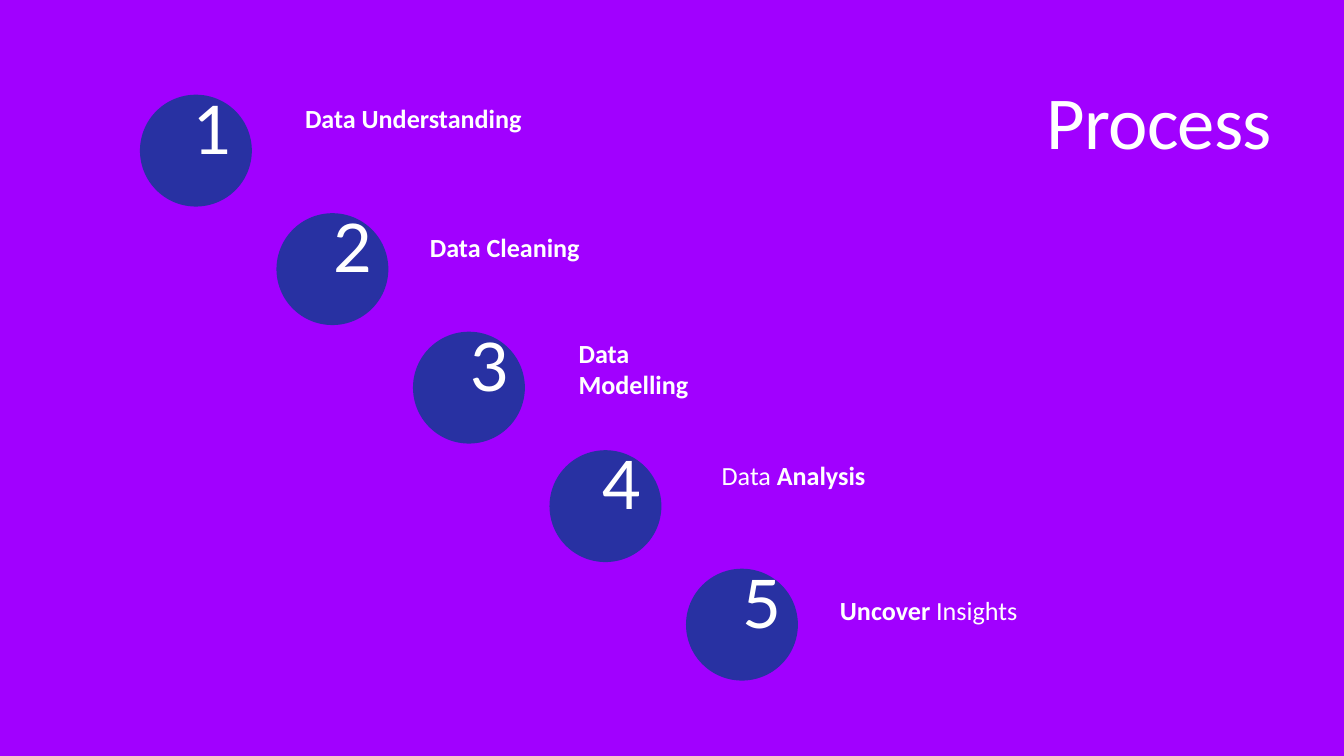
import pptx
import pptx.dml.color
import pptx.enum.shapes
import pptx.enum.text
import pptx.util

Cm = pptx.util.Cm
Pt = pptx.util.Pt
RGBColor = pptx.dml.color.RGBColor
PP_ALIGN = pptx.enum.text.PP_ALIGN

PURPLE = RGBColor(0xA1, 0x00, 0xFF)
NAVY = RGBColor(0x28, 0x31, 0xA2)
WHITE = RGBColor(0xFF, 0xFF, 0xFF)

CIRCLE_LEFT, CIRCLE_TOP, CIRCLE_SIZE = 5.29, 3.58, 4.23
STEP_X, STEP_Y = 5.16, 4.48
NUMBER_TOP = 3.81

# number left, label box (left, top, width, height), label runs (text, bold)
STEPS = [
    (7.32, (11.28, 3.73, 15.27, 1.45), [("Data Understanding", True)]),
    (12.6, (16, 8.64, 6.76, 1.45), [("Data Cleaning", True)]),
    (17.78, (21.62, 12.62, 6.7, 2.64), [("Data Modelling", True)]),
    (22.76, (27.03, 17.25, 7.7, 1.45), [("Data ", False), ("Analysis", True)]),
    (28.07, (31.5, 22.33, 8.94, 1.45), [("Uncover", True), (" Insights", False)]),
]


class ProcessSlide:
    heading_font = "Calibri"
    number_font = "Lato"

    def __init__(self, presentation):
        self.slide = presentation.slides.add_slide(presentation.slide_layouts[5])
        fill = self.slide.background.fill
        fill.solid()
        fill.fore_color.rgb = PURPLE

    def format_frame(self, frame, inset=None):
        frame.word_wrap = True
        frame.auto_size = pptx.enum.text.MSO_AUTO_SIZE.NONE
        frame.vertical_anchor = pptx.enum.text.MSO_ANCHOR.TOP
        if inset is not None:
            frame.margin_left = frame.margin_right = Cm(inset)
            frame.margin_top = frame.margin_bottom = Cm(inset)

    def format_paragraph(self, paragraph, name, size, line=None, tracking=None):
        """Style a paragraph; tracking is in points."""
        if line is not None:
            paragraph.line_spacing = Pt(line)
        paragraph.font.name = name
        paragraph.font.size = Pt(size)
        paragraph.font.color.rgb = WHITE
        if tracking is not None:
            for run in paragraph.runs:
                run._r.get_or_add_rPr().set("spc", str(round(tracking * 100)))

    def title(self, text, left, top, width, height):
        shape = self.slide.shapes.title
        shape.left, shape.top = Cm(left), Cm(top)
        shape.width, shape.height = Cm(width), Cm(height)
        frame = shape.text_frame
        frame.text = text
        self.format_frame(frame, inset=0)
        paragraph = frame.paragraphs[0]
        paragraph.alignment = PP_ALIGN.RIGHT
        self.format_paragraph(paragraph, self.heading_font, 80, 96, -0.8)

    def circle(self, left, top, size):
        shape = self.slide.shapes.add_shape(
            pptx.enum.shapes.MSO_SHAPE.OVAL, Cm(left), Cm(top), Cm(size), Cm(size))
        shape.shadow.inherit = False
        shape.fill.solid()
        shape.fill.fore_color.rgb = NAVY
        shape.line.fill.background()

    def number(self, value, left, top):
        box = self.slide.shapes.add_textbox(Cm(left), Cm(top), Cm(3.4), Cm(2.64))
        frame = box.text_frame
        frame.text = str(value)
        self.format_frame(frame, inset=0)
        self.format_paragraph(frame.paragraphs[0], self.number_font, 71.9, 71.9, -6.4)

    def label(self, runs, left, top, width, height):
        box = self.slide.shapes.add_textbox(Cm(left), Cm(top), Cm(width), Cm(height))
        self.format_frame(box.text_frame)
        paragraph = box.text_frame.paragraphs[0]
        for text, bold in runs:
            run = paragraph.add_run()
            run.text = text
            run.font.bold = bold
        self.format_paragraph(paragraph, self.heading_font, 28)


def main():
    presentation = pptx.Presentation()
    presentation.slide_width = Cm(50.8)
    presentation.slide_height = Cm(28.58)

    process = ProcessSlide(presentation)
    process.title("Process", 29.64, 2.84, 18.44, 3.43)
    for index, (number_left, label_box, runs) in enumerate(STEPS):
        drop = index * STEP_Y
        process.circle(CIRCLE_LEFT + index * STEP_X, CIRCLE_TOP + drop, CIRCLE_SIZE)
        process.number(index + 1, number_left, NUMBER_TOP + drop)
        process.label(runs, *label_box)

    presentation.save("out.pptx")


if __name__ == "__main__":
    main()
